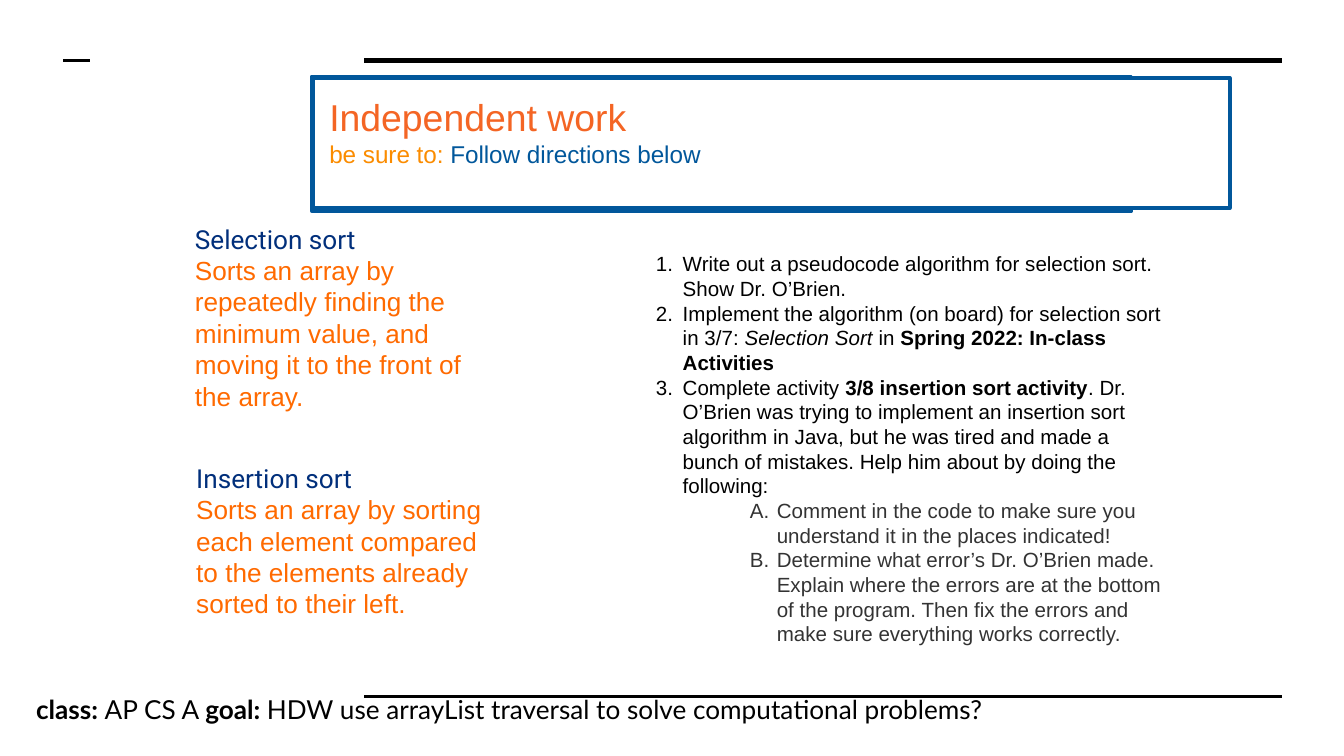
from lxml import etree
from pptx import Presentation
from pptx import util as u
from pptx.dml.color import RGBColor
from pptx.enum import shapes, text
from pptx.oxml import ns

BLACK, GREY, BLUE, NAVY, ORANGE = "000000", "333333", "01579B", "012F7B", "FF6A00"

RULES = [(2.71, 9.54, 0.45, 3), (2.71, 9.54, 5.18, 1.5), (0.47, 0.67, 0.45, 1.5)]
FRAMES = [(2.32, 0.57, 6.1, 1), (2.33, 0.58, 6.82, 0.97)]
TITLE = [
    [("Independent work", dict(size=20, color="F46524"))],
    [("be sure to: ", dict(size=13, color="FB8C00")),
     ("Follow directions below", dict(size=13, color=BLUE))],
]
GOAL = [[
    ("class: ", dict(bold=True)),
    ("AP CS A ", {}),
    ("goal: ", dict(bold=True)),
    ("HDW use arrayList traversal to solve computational problems?", {}),
]]
SORTS = [
    ((1.45, 1.66, 2.01, 1.4), "Selection sort",
     "Sorts an array by repeatedly finding the minimum value, and moving it to the front of the array."),
    ((1.46, 3.44, 2.18, 1.36), "Insertion sort",
     "Sorts an array by sorting each element compared to the elements already sorted to their left."),
]
STEPS = [
    [("Write out a pseudocode algorithm for selection sort. Show Dr. O’Brien.", {})],
    [("Implement the algorithm (on board) for selection sort in 3/7: ", {}),
     ("Selection Sort", dict(italic=True)),
     (" in ", {}),
     ("Spring 2022: In-class Activities", dict(bold=True))],
    [("Complete activity ", {}),
     ("3/8 insertion sort activity", dict(bold=True)),
     (". Dr. O’Brien was trying to implement an insertion sort algorithm in Java, "
      "but he was tired and made a bunch of mistakes. Help him about by doing the following:", {})],
]
SUBSTEPS = [
    [("Comment in the code to make sure you understand it in the places indicated!", dict(color=GREY))],
    [("Determine what error’s Dr. O’Brien made. Explain where the errors are at the bottom of the program. "
      "Then fix the errors and make sure everything works correctly.", dict(color=GREY))],
]


def rgb(value):
    return RGBColor.from_string(value)


def place(sp, at):
    sp.left, sp.top, sp.width, sp.height = map(u.Inches, at)


def add_run(p, content, size=14, color=BLACK, font="Arial", bold=False, italic=False):
    r = p.add_run()
    r.text = content
    f = r.font
    f.size, f.name, f.bold, f.italic = u.Pt(size), font, bold, italic
    f.color.rgb = rgb(color)


def number(p, scheme, indent, level):
    p.level = level
    pPr = p._p.get_or_add_pPr()
    pPr.set("marL", str(u.Inches(indent)))
    pPr.set("indent", str(u.Inches(-0.2)))
    etree.SubElement(pPr, ns.qn("a:buFont"), typeface="Arial")
    etree.SubElement(pPr, ns.qn("a:buAutoNum"), type=scheme)


def write(sp, paragraphs, inset=0, **base):
    tf = sp.text_frame
    tf.word_wrap = True
    tf.auto_size = text.MSO_AUTO_SIZE.NONE
    tf.vertical_anchor = text.MSO_ANCHOR.TOP
    tf.margin_left = tf.margin_right = tf.margin_top = tf.margin_bottom = u.Inches(inset)
    for i, runs in enumerate(paragraphs):
        p = tf.add_paragraph() if i else tf.paragraphs[0]
        p.alignment = text.PP_ALIGN.LEFT
        for content, style in runs:
            add_run(p, content, **{**base, **style})
    return tf


def add_text(s, at, paragraphs, **style):
    sp = s.shapes.add_textbox(*map(u.Inches, at))
    return write(sp, paragraphs, **style)


def add_rule(s, x1, x2, y, width):
    ln = s.shapes.add_connector(shapes.MSO_CONNECTOR.STRAIGHT, *map(u.Inches, (x1, y, x2, y)))
    ln.line.color.rgb = rgb(BLACK)
    ln.line.width = u.Pt(width)
    etree.SubElement(ln._element.spPr, ns.qn("a:effectLst"))


def add_frame(s, at):
    sp = s.shapes.add_shape(shapes.MSO_SHAPE.RECTANGLE, *map(u.Inches, at))
    sp.shadow.inherit = False
    sp.fill.solid()
    sp.fill.fore_color.rgb = rgb("FFFFFF")
    sp.line.color.rgb = rgb(BLUE)
    sp.line.width = u.Pt(2)


def main():
    prs = Presentation()
    prs.slide_width = u.Inches(10)
    prs.slide_height = prs.slide_width * 9 // 16
    s = prs.slides.add_slide(prs.slide_layouts[5])
    for rule in RULES:
        add_rule(s, *rule)
    add_text(s, (0.17, 5.06, 9.35, 0.63), GOAL, inset=0.1, font="Lato")
    for frame in FRAMES:
        add_frame(s, frame)

    title = s.shapes.title
    place(title, (2.35, 0.6, 6.78, 0.94))
    write(title, TITLE, inset=0.1)
    s.shapes._spTree.append(title._element)

    for at, name, meaning in SORTS:
        add_text(s, at, [[(name, dict(font="Roboto", color=NAVY))],
                         [(meaning, dict(color=ORANGE))]])

    tf = add_text(s, (4.88, 1.87, 3.82, 3.25), STEPS + SUBSTEPS, size=11)
    for i, p in enumerate(tf.paragraphs):
        if i < len(STEPS):
            number(p, "arabicPeriod", 0.2, 0)
        else:
            number(p, "alphaUcPeriod", 0.9, 1)
    prs.save("out.pptx")


if __name__ == "__main__":
    main()
